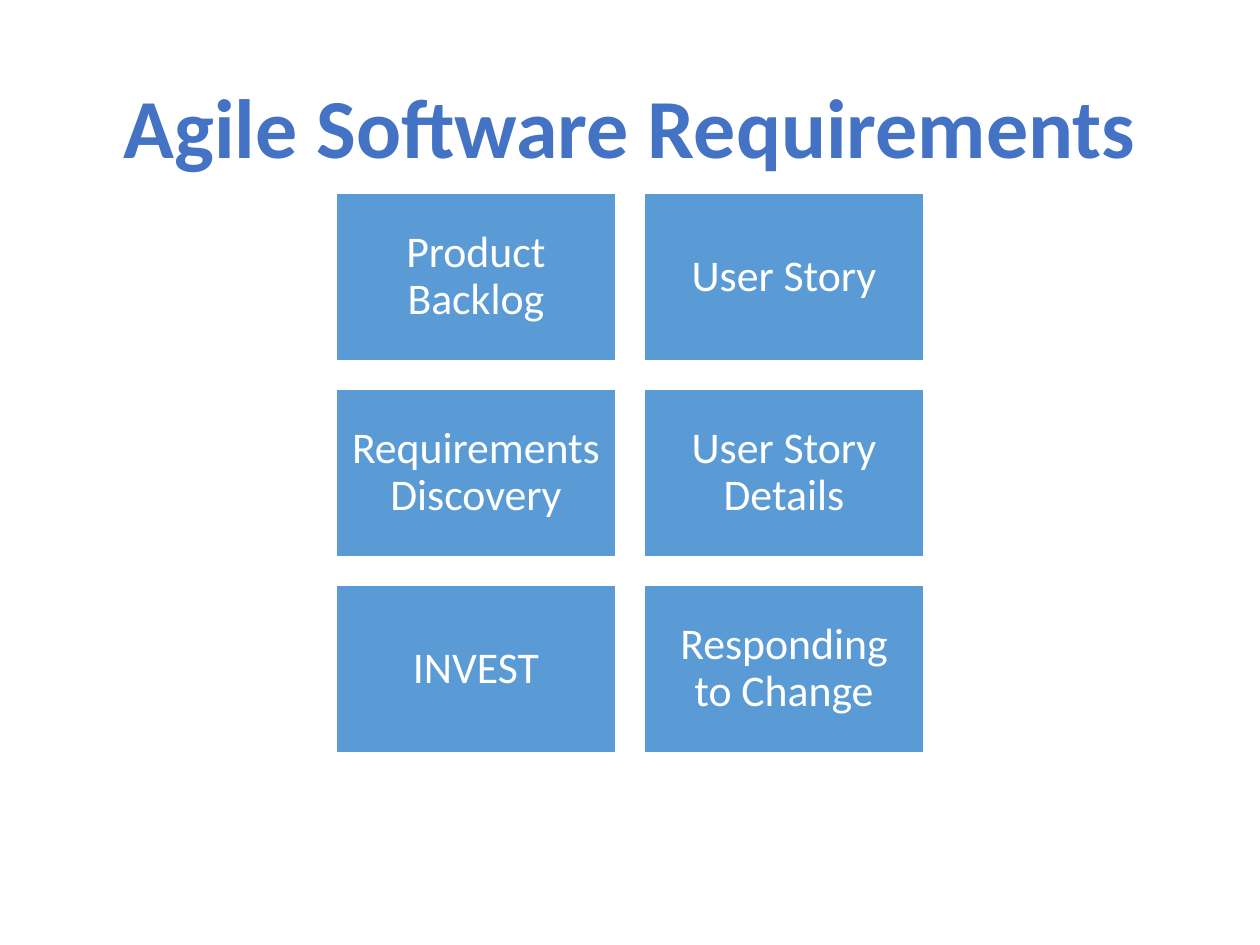
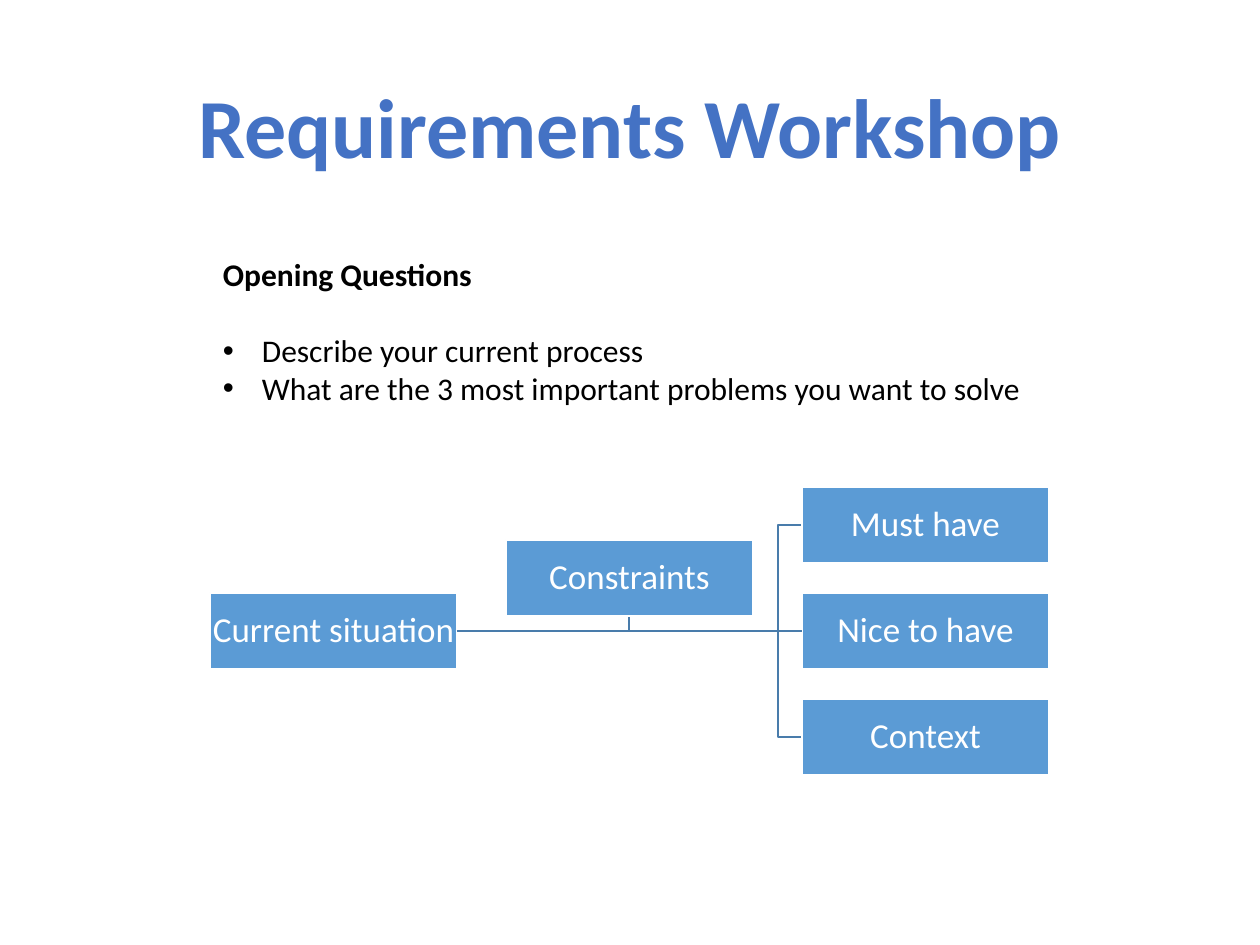
from lxml.etree import SubElement
from pptx import Presentation
from pptx.dml.color import RGBColor
from pptx.enum.shapes import MSO_CONNECTOR, MSO_SHAPE
from pptx.enum.text import MSO_ANCHOR, PP_ALIGN
from pptx.oxml.ns import qn
from pptx.util import Emu, Pt

PX = 914400 / 126
PAGE_WIDTH, PAGE_HEIGHT = 1260, 945
FONT = "Calibri"
COLORS = {
    "title": "4472C4",
    "box": "5B9BD5",
    "link": "497CAB",
    "text": "000000",
    "white": "FFFFFF",
}


def px(length):
    return Emu(round(length * PX))


def color(name):
    return RGBColor.from_string(COLORS[name])


# Text
def set_frame(frame, anchor, inset_x, inset_y):
    frame.word_wrap = True
    frame.vertical_anchor = anchor
    frame.margin_left = frame.margin_right = px(inset_x)
    frame.margin_top = frame.margin_bottom = px(inset_y)


def write(para, text, size=18, ink="text", bold=False, align=PP_ALIGN.LEFT,
          spacing=1.0, after=0):
    para.alignment = align
    para.line_spacing = spacing
    para.space_after = Pt(after)
    span = para.add_run()
    span.text = text
    span.font.name = FONT
    span.font.size = Pt(size)
    span.font.bold = bold
    span.font.color.rgb = color(ink)


def add_bullet(para, indent):
    properties = para._p.get_or_add_pPr()
    properties.set("marL", str(px(indent)))
    properties.set("indent", str(-px(indent)))
    SubElement(properties, qn("a:buFont"), typeface="Arial")
    SubElement(properties, qn("a:buChar"), char="•")


def add_text_box(page, left, top, width, height, anchor=MSO_ANCHOR.TOP):
    box = page.shapes.add_textbox(px(left), px(top), px(width), px(height))
    set_frame(box.text_frame, anchor, 13, 6)
    return box.text_frame


# Page with the shared title
def add_page(deck, title):
    page = deck.slides.add_slide(deck.slide_layouts[6])
    frame = add_text_box(page, 0, 0, PAGE_WIDTH, 183, MSO_ANCHOR.BOTTOM)
    write(frame.paragraphs[0], title, size=48, ink="title", bold=True,
          align=PP_ALIGN.CENTER, spacing=0.9)
    return page


# Boxes and links
def add_box(page, text, left, top, width, height, size, inset):
    box = page.shapes.add_shape(MSO_SHAPE.RECTANGLE, px(left), px(top),
                                px(width), px(height))
    box.shadow.inherit = False
    box.fill.solid()
    box.fill.fore_color.rgb = color("box")
    box.line.color.rgb = color("white")
    box.line.width = Pt(1)
    set_frame(box.text_frame, MSO_ANCHOR.MIDDLE, inset, inset)
    write(box.text_frame.paragraphs[0], text, size=size, ink="white",
          align=PP_ALIGN.CENTER, spacing=0.9)
    return box


def style_link(link):
    link.line.color.rgb = color("link")
    link.line.width = Pt(1)


def add_branch(page, start, *points):
    builder = page.shapes.build_freeform(*start, scale=PX)
    builder.add_line_segments(points, close=False)
    branch = builder.convert_to_shape()
    branch.shadow.inherit = False
    branch.fill.background()
    style_link(branch)


def add_straight_link(page, source, target):
    link = page.shapes.add_connector(MSO_CONNECTOR.STRAIGHT, 0, 0, 0, 0)
    link.begin_connect(source, 3)
    link.end_connect(target, 1)
    SubElement(link._element.spPr, qn("a:effectLst"))
    style_link(link)


# Slide 1: grid of topics
def build_topics(deck):
    page = add_page(deck, "Agile Software Requirements")
    topics = ["Product Backlog", "User Story", "Requirements Discovery",
              "User Story Details", "INVEST", "Responding to Change"]
    for index, topic in enumerate(topics):
        row, column = divmod(index, 2)
        add_box(page, topic, 336 + 308 * column, 193 + 196 * row, 280, 168,
                size=25, inset=13)


# Slide 2: questions and requirement tree
def build_workshop(deck):
    page = add_page(deck, "Requirements Workshop")

    frame = add_text_box(page, 210, 249, 857, 204)
    write(frame.paragraphs[0], "Opening Questions", bold=True, after=22)
    for question in ["Describe your current process",
                     "What are the 3 most important problems you want to solve"]:
        para = frame.add_paragraph()
        write(para, question)
        add_bullet(para, 39)

    left, middle_top, width, height = 210, 593, 247, 76
    column_step, row_step = 296, 106
    axis = middle_top + height // 2
    start = (left + width, axis)
    need_left = left + 2 * column_step
    bend = need_left - 24
    stem = left + column_step + width // 2

    # Branches lie behind the boxes
    add_branch(page, start, (stem, axis),
               (stem, middle_top - row_step // 2 + height))
    for end in (axis - row_step, axis + row_step):
        add_branch(page, start, (bend, axis), (bend, end), (need_left, end))

    def add_node(text, column, row):
        return add_box(page, text, left + column_step * column,
                       middle_top + round(row_step * row), width, height,
                       size=20, inset=1)

    root = add_node("Current situation", 0, 0)
    add_node("Constraints", 1, -0.5)
    add_node("Must have", 2, -1)
    nice = add_node("Nice to have", 2, 0)
    add_node("Context", 2, 1)
    add_straight_link(page, root, nice)


def main():
    deck = Presentation()
    deck.slide_width, deck.slide_height = px(PAGE_WIDTH), px(PAGE_HEIGHT)
    build_topics(deck)
    build_workshop(deck)
    deck.save("out.pptx")


if __name__ == "__main__":
    main()
